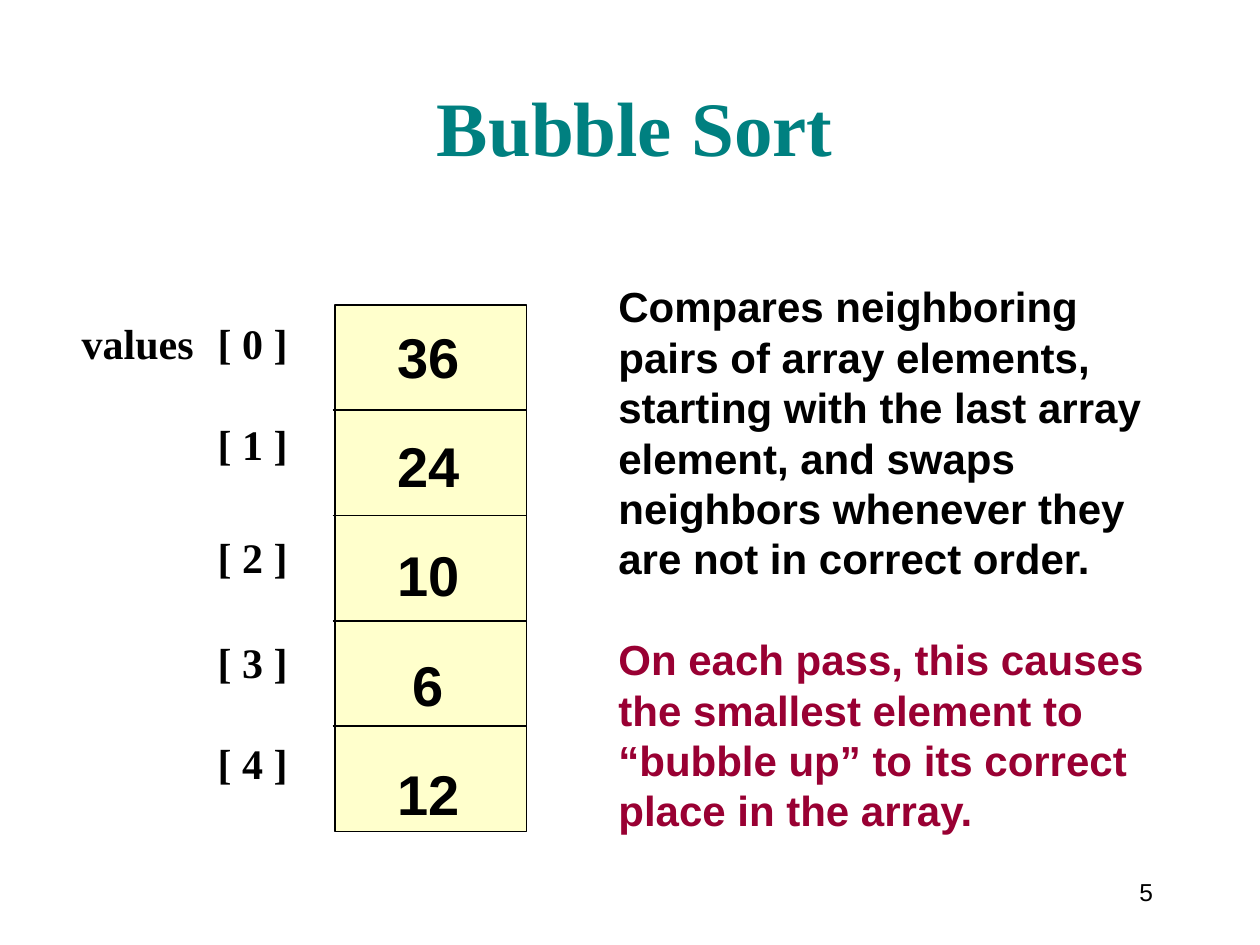
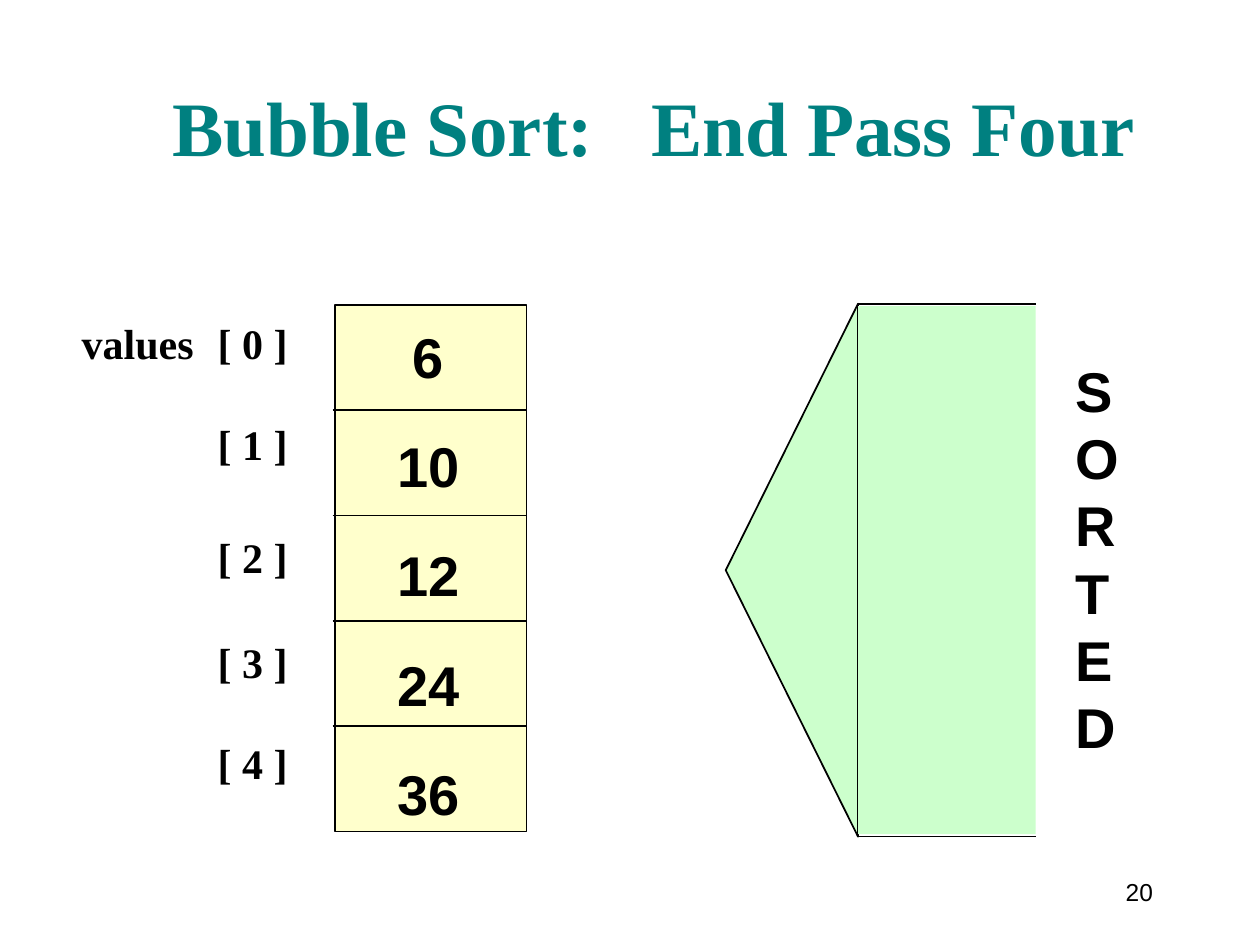
import pptx
import pptx.util
import pptx.dml.color
import pptx.enum.shapes
import pptx.enum.text
import lxml.etree
from dataclasses import dataclass

ALIGN = pptx.enum.text.PP_ALIGN
ANCHOR = pptx.enum.text.MSO_ANCHOR
SHAPE = pptx.enum.shapes.MSO_SHAPE
inch = pptx.util.Inches
A = "http://schemas.openxmlformats.org/drawingml/2006/main"


@dataclass(frozen=True)
class Theme:
    sans: str = "Arial"
    serif: str = "Times New Roman"
    ink: str = "000000"
    title: str = "008080"
    accent: str = "990033"
    cell: str = "FFFFCC"
    sorted: str = "CCFFCC"
    title_size: int = 44
    value_size: int = 32
    body_size: int = 24
    number_size: int = 14
    leading: float = 1.2
    line_width: int = 1


THEME = Theme()

# Content
SLIDES = [
    dict(
        title="Bubble Sort", title_box=(1.82, 0.16, 6.44, 1.25), number="5",
        values=["36", "24", "10", "6", "12"],
        notes=[
            ("Compares neighboring pairs of array elements, starting with the "
             "last array element, and swaps neighbors whenever they are not in "
             "correct order.", THEME.ink),
            ("On each pass, this causes the smallest element to “bubble up” to "
             "its correct place in the array.", THEME.accent),
        ],
    ),
    dict(
        title="Bubble Sort:   End Pass Four", title_box=(0.88, 0.16, 8.62, 1.25),
        number="20", values=["6", "10", "12", "24", "36"], sorted_word="SORTED",
    ),
]
ARRAY_NAME = "values"
INDEX_GAPS = [0, 28.8, 36, 31.2, 28.8]  # points above each index label

# Places: left, top, width, height in inches
NUMBER_BOX = (8.58, 6.83, 0.67, 0.5)
NOTES_BOX = (4.81, 2.18, 4.66, 4.5)
INDEX_BOX = (0.55, 1.77, 2.43, 4.53)
ARRAY_BOX = (2.66, 2.42, 1.52, 4.18)
VALUES_BOX = (3.05, 2.51, 0.7, 4.1)
SORTED_BOX = (6.81, 2.43, 1.41, 4.19)
WORD_BOX = (8.44, 2.78, 0.55, 3.3)
INDEX_TOP, INDEX_TAB = 0.75, 1.08
POINT_DEPTH, EDGE = 1.05, 0.02


def color(code):
    return pptx.dml.color.RGBColor.from_string(code)


def add_text(page, place, lines, size, font=THEME.sans, bold=True, align=ALIGN.LEFT,
             anchor=ANCHOR.TOP, wrap=True, top=0.05):
    """Write lines of (text, colour, points above) into one text box."""
    frame = page.shapes.add_textbox(*map(inch, place)).text_frame
    frame.word_wrap = wrap
    frame.vertical_anchor = anchor
    frame.margin_top = inch(top)
    for i, (text, code, gap) in enumerate(lines):
        para = frame.paragraphs[0] if i == 0 else frame.add_paragraph()
        para.alignment = align
        para.line_spacing = pptx.util.Pt(size * THEME.leading)
        para.space_before = pptx.util.Pt(gap)
        span = para.add_run()
        span.text = text
        span.font.name, span.font.size = font, pptx.util.Pt(size)
        span.font.bold = bold
        span.font.color.rgb = color(code)
    return frame


def add_block(page, kind, place, fill, outlined=True):
    block = page.shapes.add_shape(kind, *map(inch, place))
    block.shadow.inherit = False
    block.fill.solid()
    block.fill.fore_color.rgb = color(fill)
    if outlined:
        block.line.color.rgb = color(THEME.ink)
        block.line.width = pptx.util.Pt(THEME.line_width)
    else:
        block.line.fill.background()
    return block


def add_rule(page, left, right, y):
    rule = page.shapes.add_connector(pptx.enum.shapes.MSO_CONNECTOR.STRAIGHT,
                                     inch(left), inch(y), inch(right), inch(y))
    rule.line.color.rgb = color(THEME.ink)
    rule.line.width = pptx.util.Pt(THEME.line_width)
    lxml.etree.SubElement(rule._element.spPr, f"{{{A}}}effectLst")


def add_indexes(page):
    lines = [(f"{'' if i else ARRAY_NAME}\t[ {i} ]", THEME.ink, gap)
             for i, gap in enumerate(INDEX_GAPS)]
    frame = add_text(page, INDEX_BOX, lines, THEME.body_size, THEME.serif, top=INDEX_TOP)
    for para in frame.paragraphs:
        tabs = lxml.etree.SubElement(para._p.get_or_add_pPr(), f"{{{A}}}tabLst")
        lxml.etree.SubElement(tabs, f"{{{A}}}tab", pos=str(inch(INDEX_TAB)), algn="l")


def add_array(page, values):
    left, top, width, height = ARRAY_BOX
    add_block(page, SHAPE.RECTANGLE, ARRAY_BOX, THEME.cell)
    for row in range(1, len(values)):
        add_rule(page, left - EDGE, left + width, top + height * row / len(values))
    gap = 20 * THEME.leading
    lines = [(value, THEME.ink, gap if i else 0) for i, value in enumerate(values)]
    add_text(page, VALUES_BOX, lines, THEME.value_size, align=ALIGN.CENTER, wrap=False)


def add_sorted_marker(page, word):
    left, top, width, height = SORTED_BOX
    # The triangle is laid out upright, then turned to point left
    base = height + 2 * EDGE
    middle = left - POINT_DEPTH / 2
    triangle = add_block(page, SHAPE.ISOSCELES_TRIANGLE,
                         (middle - base / 2, top + height / 2 - POINT_DEPTH / 2,
                          base, POINT_DEPTH), THEME.sorted)
    triangle.rotation = 270
    add_block(page, SHAPE.RECTANGLE, SORTED_BOX, THEME.sorted, outlined=False)
    for y in (top - EDGE, top + height + EDGE):
        add_rule(page, left, left + width, y)
    add_text(page, WORD_BOX, [(letter, THEME.ink, 0) for letter in word],
             THEME.value_size, wrap=False)


def build_page(deck, content):
    page = deck.slides.add_slide(deck.slide_layouts[6])
    # Number and title
    add_text(page, NUMBER_BOX, [(content["number"], THEME.ink, 0)], THEME.number_size,
             bold=False, align=ALIGN.RIGHT, anchor=ANCHOR.MIDDLE, wrap=False)
    add_text(page, content["title_box"], [(content["title"], THEME.title, 0)],
             THEME.title_size, THEME.serif, align=ALIGN.CENTER, anchor=ANCHOR.BOTTOM)
    # Array with its indexes
    add_indexes(page)
    add_array(page, content["values"])
    # Right half: explanation or sorted marker
    if "notes" in content:
        gap = THEME.body_size * THEME.leading
        lines = [(text, code, gap if i else 0)
                 for i, (text, code) in enumerate(content["notes"])]
        add_text(page, NOTES_BOX, lines, THEME.body_size)
    if "sorted_word" in content:
        add_sorted_marker(page, content["sorted_word"])


def main():
    deck = pptx.Presentation()
    deck.slide_width, deck.slide_height = inch(10), inch(7.5)
    for content in SLIDES:
        build_page(deck, content)
    deck.save("out.pptx")


if __name__ == "__main__":
    main()
